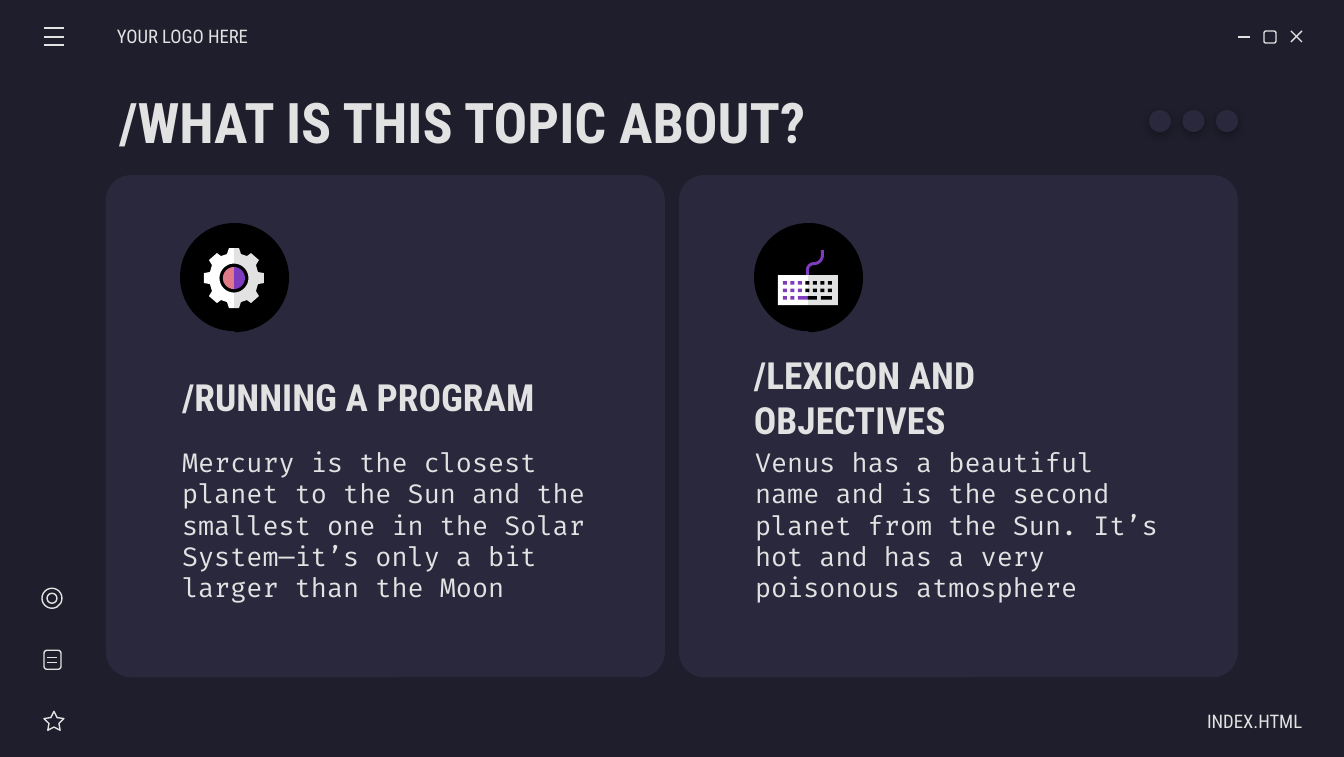
from math import cos, radians, sin

from lxml import etree
from pptx import Presentation
from pptx.dml.color import RGBColor
from pptx.enum.shapes import MSO_CONNECTOR, MSO_SHAPE
from pptx.enum.text import MSO_ANCHOR, PP_ALIGN
from pptx.oxml.ns import qn
from pptx.util import Emu, Inches, Pt

SCALE = 914400 / 134.4  # EMU in one px
BACK, CARD, LIGHT = "1E1E2C", "29283D", "E2E2E2"
WHITE, BLACK, PURPLE, PINK = "FFFFFF", "000000", "7E3BBE", "E07A88"
HEAD, CODE = "Roboto Condensed", "Fira Code"


def px(n):
    return Emu(round(n * SCALE))


def color(code):
    return RGBColor.from_string(code)


def paint(shape, fill=None, line=None):
    shape.shadow.inherit = False
    if fill:
        shape.fill.solid()
        shape.fill.fore_color.rgb = color(fill)
    else:
        shape.fill.background()
    if line:
        shape.line.color.rgb = color(line)
        shape.line.width = Pt(0.75)
    else:
        shape.line.fill.background()
    return shape


def form(slide, kind, x, y, w, h, fill=None, line=None, adj=()):
    shape = slide.shapes.add_shape(kind, px(x), px(y), px(w), px(h))
    for i, value in enumerate(adj):
        shape.adjustments[i] = value
    return paint(shape, fill, line)


def outline(slide, points, fill):
    first, *rest = [(px(x), px(y)) for x, y in points]
    pen = slide.shapes.build_freeform(*first, scale=1.0)
    pen.add_line_segments(rest, close=True)
    paint(pen.convert_to_shape(), fill)


def stroke(slide, x1, y1, x2, y2):
    line = slide.shapes.add_connector(
        MSO_CONNECTOR.STRAIGHT, px(x1), px(y1), px(x2), px(y2))
    line.line.color.rgb = color(LIGHT)
    line.line.width = Pt(0.75)
    etree.SubElement(line._element.spPr, qn("a:effectLst"))


def label(slide, text, x, y, w, h, size, font=HEAD, bold=False,
          align=PP_ALIGN.LEFT, left=13, right=13):
    frame = slide.shapes.add_textbox(px(x), px(y), px(w), px(h)).text_frame
    frame.word_wrap = True
    frame.vertical_anchor = MSO_ANCHOR.MIDDLE
    frame.margin_left, frame.margin_right = px(left), px(right)
    frame.margin_top = frame.margin_bottom = px(13)
    para = frame.paragraphs[0]
    para.alignment = align
    run = para.add_run()
    run.text = text
    run.font.name, run.font.size, run.font.bold = font, Pt(size), bold
    run.font.color.rgb = color(LIGHT)


def arc(cx, cy, r, start, end, steps=16):
    turns = [radians(start + (end - start) * i / steps)
             for i in range(steps + 1)]
    return [(cx + r * cos(t), cy + r * sin(t)) for t in turns]


def dot(slide, x):
    shape = form(slide, MSO_SHAPE.OVAL, x, 110, 22, 22, CARD)
    effect = shape._element.spPr.find(qn("a:effectLst"))
    shade = etree.SubElement(effect, qn("a:outerShdw"), blurRad="57150",
                             dist="19050", dir="5400000", rotWithShape="0")
    tone = etree.SubElement(shade, qn("a:srgbClr"), val=BLACK)
    etree.SubElement(tone, qn("a:alpha"), val="30000")


def badge(slide, x):
    form(slide, MSO_SHAPE.OVAL, x, 223, 108, 108, BLACK)
    pie = form(slide, MSO_SHAPE.PIE, x, 223, 109, 109, BLACK,
               adj=(54.39, 162))
    pie.rotation = 180


def gear(slide, cx, cy):
    # Teeth of the upper right quarter, mirrored for the others
    teeth = [(0, -30), (5, -30), (7, -24), (13, -22), (17, -25),
             (25, -18), (22, -13), (24, -6), (30, -5)]
    side = teeth + [(x, -y) for x, y in reversed(teeth)]
    ring = side + arc(0, 0, 14.5, 90, -90)
    core = arc(0, 0, 11, -90, 90)
    for sign, rim, heart in ((1, LIGHT, PURPLE), (-1, WHITE, PINK)):
        for points, fill in ((core, heart), (ring, rim)):
            outline(slide, [(cx + sign * x, cy + y) for x, y in points], fill)


def keyboard(slide):
    # Cord
    cord = ([(821, 250)] + arc(814, 255, 7, 0, 90)
            + arc(814, 270, 8, -90, -180) + [(806, 278), (809, 278)]
            + arc(814, 270, 5, -180, -90) + arc(814, 255, 10, 90, 0)
            + [(824, 250)])
    outline(slide, cord, PURPLE)
    # Board
    for x, fill in ((808, LIGHT), (778, WHITE)):
        form(slide, MSO_SHAPE.RECTANGLE, x, 275, 30, 30, fill)
    # Keys: two full rows, then a row with three wide keys
    keys = [(783 + 7.5 * col, row, 4) for row in range(2) for col in range(7)]
    keys += [(783, 2, 4), (790.5, 2, 4), (798, 2, 10),
             (808, 2, 9), (821, 2, 11)]
    for x, row, w in keys:
        form(slide, MSO_SHAPE.RECTANGLE, x, 281 + 7.5 * row, w, 3.5,
             PURPLE if x < 805 else BLACK)


def chrome(slide):
    # Window buttons
    stroke(slide, 1238, 37, 1250, 37)
    form(slide, MSO_SHAPE.ROUNDED_RECTANGLE, 1264, 31, 12, 12, line=LIGHT)
    stroke(slide, 1291, 31, 1302, 42)
    stroke(slide, 1302, 31, 1291, 42)
    # Menu
    for y in (28, 37, 45):
        stroke(slide, 44, y, 64, y)
    # Side icons: star, page, target
    form(slide, MSO_SHAPE.STAR_5_POINT, 44, 711, 20, 19, line=LIGHT,
         adj=(0.25,))
    form(slide, MSO_SHAPE.ROUNDED_RECTANGLE, 44, 650, 17, 19, line=LIGHT)
    for y in (657, 662):
        stroke(slide, 47, y, 57, y)
    form(slide, MSO_SHAPE.OVAL, 42, 588, 20, 20, line=LIGHT)
    form(slide, MSO_SHAPE.OVAL, 47, 593, 10, 10, line=LIGHT)


def main():
    deck = Presentation()
    deck.slide_width, deck.slide_height = Inches(10), Inches(5.63)
    slide = deck.slides.add_slide(deck.slide_layouts[6])
    slide.background.fill.solid()
    slide.background.fill.fore_color.rgb = color(BACK)

    # Cards
    for x in (106, 679):
        form(slide, MSO_SHAPE.ROUNDED_RECTANGLE, x, 175, 559, 502, CARD,
             adj=(0.05,))
    chrome(slide)

    # Header and footer
    label(slide, "YOUR LOGO HERE", 117, 16, 157, 41, 10, left=0)
    label(slide, "/WHAT IS THIS TOPIC ABOUT?", 106, 79, 1132, 84, 30,
          bold=True)
    label(slide, "INDEX.HTML", 1145, 700, 157, 41, 10,
          align=PP_ALIGN.RIGHT, right=0)
    for i in range(3):
        dot(slide, 1149 + 33.5 * i)

    # Card texts
    label(slide, "/RUNNING A PROGRAM", 169, 362, 433, 69, 20, bold=True)
    label(slide, "/LEXICON AND OBJECTIVES", 754, 376, 432, 41, 20,
          bold=True, left=0)
    label(slide, "Mercury is the closest planet to the Sun and the smallest "
          "one in the Solar System—it’s only a bit larger than the Moon",
          169, 430, 433, 189, 14, CODE)
    label(slide, "Venus has a beautiful name and is the second planet from "
          "the Sun. It’s hot and has a very poisonous atmosphere",
          742, 430, 433, 189, 14, CODE)

    # Card icons
    badge(slide, 180)
    gear(slide, 234, 278)
    badge(slide, 754)
    keyboard(slide)

    deck.save("out.pptx")


if __name__ == "__main__":
    main()
